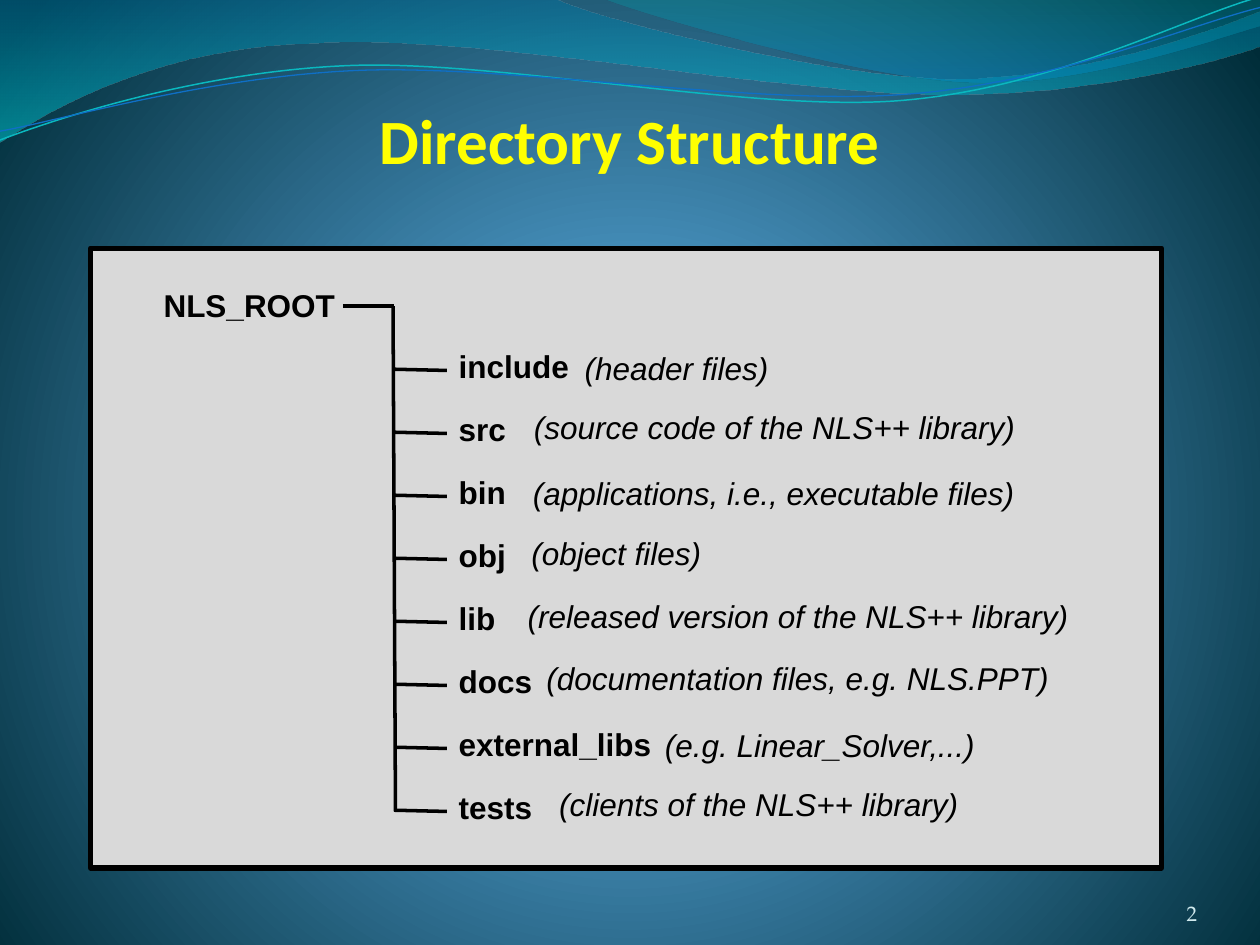
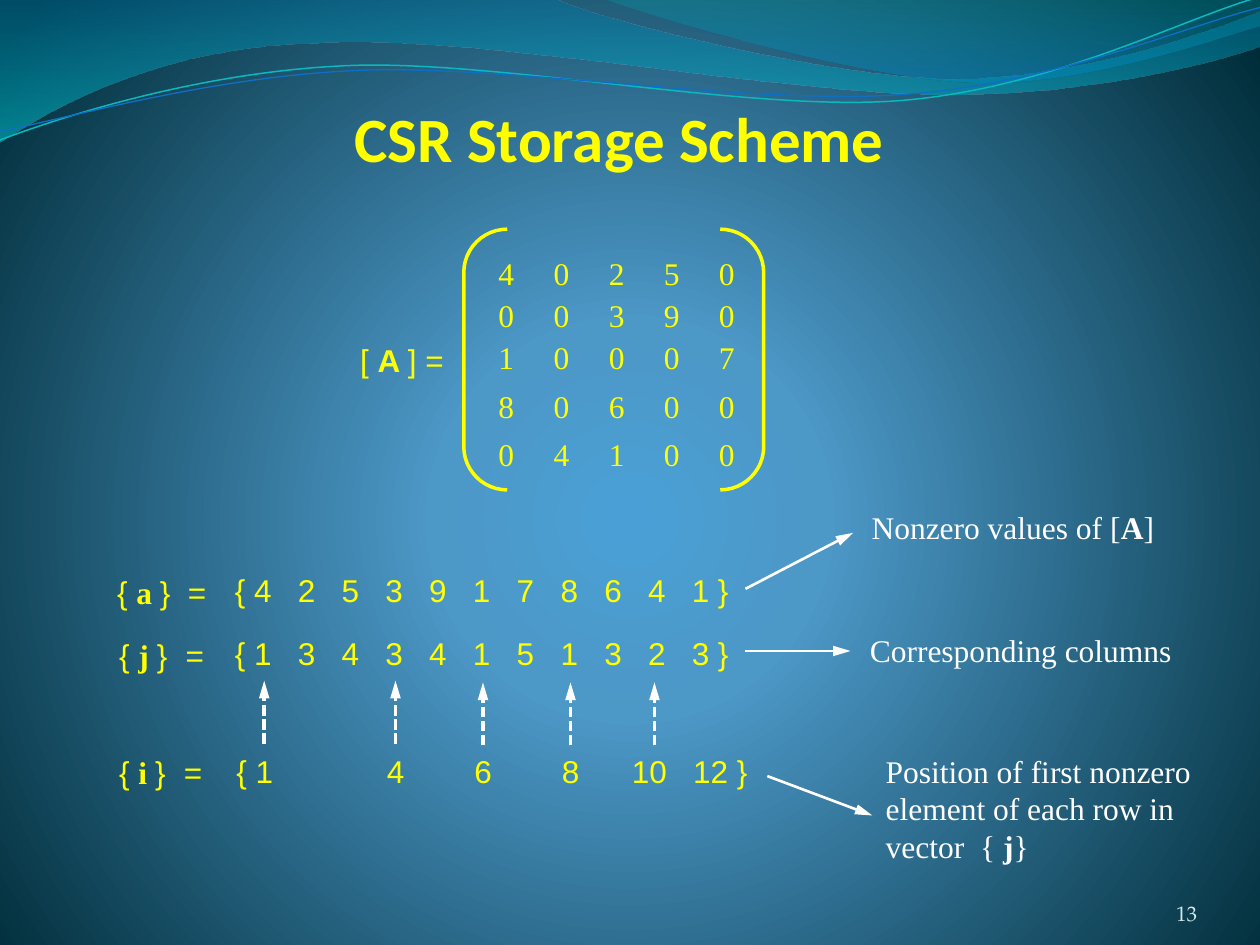
from lxml import etree
from pptx import Presentation
from pptx.dml.color import RGBColor
from pptx.enum import dml, shapes, text
from pptx.oxml.ns import qn
from pptx.util import Pt

YELLOW = RGBColor(0xFF, 0xFF, 0x00)
WHITE = RGBColor(0xFF, 0xFF, 0xFF)
BLACK = RGBColor(0x00, 0x00, 0x00)
PANEL_GREY = RGBColor(0xD9, 0xD9, 0xD9)
PAGE_TINT = RGBColor(0xD1, 0xEA, 0xEE)
CYAN = RGBColor(0x0A, 0xB8, 0xBF)
BLUE = RGBColor(0x0F, 0x6F, 0xC6)
BACKDROP = [(0, RGBColor(0x4A, 0xA0, 0xD6), 100), (25, RGBColor(0x4C, 0x98, 0xC7), 100),
            (100, RGBColor(0x00, 0x2C, 0x38), 100)]
BIG_WAVE_STOPS = [(0, RGBColor(0x00, 0x74, 0xA1), 45), (100, RGBColor(0x00, 0xC6, 0xCF), 55)]
SMALL_WAVE_STOPS = [(0, RGBColor(0x00, 0xA1, 0xA9), 30), (80, RGBColor(0x00, 0x8B, 0xBF), 45)]
SERIF, SANS = "Times New Roman", "Arial"

BIG_WAVE = [(0, 0), (317, -0.7), (343, 12, 478, 45, 546, 45), (614, 45, 690, 19, 720, 6.5),
            (720.7, 26), (708, 32, 626, 55, 537, 54), (448, 54, 275, 20, 185, 24.5),
            (93, 26, 33, 60, -0.7, 81.4)]
SMALL_WAVE = [(345, -0.7), (366, 8, 491, 45, 554, 47), (616, 50, 692, 23, 720, 15), (720, 0)]
CYAN_WAVE = [(0, 80), (34.5, 67, 114, 41, 199, 37.5), (284, 34, 427, 64, 513, 57.6),
             (600, 51, 675, 11, 718.5, -1.4)]
BLUE_WAVE = [(0, 75), (34, 69, 118, 44, 204, 40.3), (290, 36.7, 430, 60.5, 516, 54),
             (602, 48, 677, 15, 720, 4.3)]

ROOT = "NLS_ROOT"
FOLDERS = [
    ("include", 79, "(header files)", (327, 195.8, 121)),
    ("src", 43, "(source code of the NLS++ library)", (298, 229.7, 299)),
    ("bin", 43, "(applications, i.e., executable files)", (297.4, 267.1, 293)),
    ("obj", 43, "(object files)", (296.6, 301.7, 113)),
    ("lib", 37, "(released version of the NLS++ library)", (294.4, 337.7, 328)),
    ("docs", 58, "(documentation files, e.g. NLS.PPT)", (305.2, 373, 305)),
    ("external_libs", 126, "(e.g. Linear_Solver,...)", (372.9, 411.1, 195)),
    ("tests", 58, "(clients of the NLS++ library)", (312.4, 445, 245)),
]

MATRIX = [(4, 0, 2, 5, 0), (0, 0, 3, 9, 0), (1, 0, 0, 0, 7), (8, 0, 6, 0, 0), (0, 4, 1, 0, 0)]
MATRIX_TOPS = [141.6, 165.5, 189.4, 217.4, 244.8]
COLUMN_TABS = [11 + 25 * k for k in range(1, 11)]
VECTORS = [
    ("a", (59.8, 324, 67), 40.5,
     (4, 2, 5, 3, 9, 1, 7, 8, 6, 4, 1), (127.2, 323, 301), COLUMN_TABS),
    ("j", (61, 360, 64), 38,
     (1, 3, 4, 3, 4, 1, 5, 1, 3, 2, 3), (127.2, 359, 301), COLUMN_TABS),
    ("i", (61, 427, 63), 37,
     (1, 4, 6, 8, 10, 12), (128, 426, 316), [86, 136, 186, 226, 261]),
]
ROW_STARTS = [(151, 425), (226, 425), (276, 426), (326, 426), (374, 426)]
BOLD = {"bold": True}
NOTES = [
    ([[("Nonzero values of [", {}), ("A", BOLD), ("]", {})]], (491, 287, 185, 29),
     (426, 336.5, 487.5, 304.5)),
    (["Corresponding columns"], (490, 357, 190, 29), (426, 372, 486, 372)),
    (["Position of first nonzero", "element of each row in",
      [("vector\t{ ", {}), ("j", BOLD), ("}", {})]], (499, 426, 192, 73),
     (438.5, 443.5, 498.5, 466)),
]


def add_text(slide, paragraphs, box, font=SANS, size=18, color=BLACK, bold=False, italic=False,
             align=text.PP_ALIGN.LEFT, anchor=text.MSO_ANCHOR.TOP,
             insets=(7.2, 3.6, 7.2, 3.6), tabs=()):
    frame = slide.shapes.add_textbox(*map(Pt, box)).text_frame
    frame.word_wrap = True
    frame.vertical_anchor = anchor
    frame.margin_left, frame.margin_top, frame.margin_right, frame.margin_bottom = map(Pt, insets)
    if isinstance(paragraphs, str):
        paragraphs = [paragraphs]
    for index, content in enumerate(paragraphs):
        paragraph = frame.paragraphs[0] if index == 0 else frame.add_paragraph()
        paragraph.alignment = align
        if tabs:
            stops = etree.SubElement(paragraph._p.get_or_add_pPr(), qn("a:tabLst"))
            for stop in tabs:
                etree.SubElement(stops, qn("a:tab"), pos=str(Pt(stop)), algn="l")
        for words, changes in [(content, {})] if isinstance(content, str) else content:
            run = paragraph.add_run()
            run.text = words
            run.font.name = changes.get("font", font)
            run.font.size = Pt(size)
            run.font.bold = changes.get("bold", bold)
            run.font.italic = italic
            run.font.color.rgb = color


def set_gradient(fill, owner, stops, center=None):
    fill.gradient()
    gradient = owner.element.find(".//" + qn("a:gradFill"))
    for child in list(gradient):
        gradient.remove(child)
    stop_list = etree.SubElement(gradient, qn("a:gsLst"))
    for position, color, opacity in stops:
        stop = etree.SubElement(stop_list, qn("a:gs"), pos=str(position * 1000))
        shade = etree.SubElement(stop, qn("a:srgbClr"), val=str(color))
        if opacity < 100:
            etree.SubElement(shade, qn("a:alpha"), val=str(opacity * 1000))
    if center:
        circle = etree.SubElement(gradient, qn("a:path"), attrib={"path": "circle"})
        sides = {side: str(value * 1000) for side, value in zip("ltrb", center)}
        etree.SubElement(circle, qn("a:fillToRect"), attrib=sides)
    else:
        etree.SubElement(gradient, qn("a:lin"), ang="5400000", scaled="1")


def bend(wave, steps):
    segments = iter(wave.element.findall(".//" + qn("a:lnTo")))
    for step in steps[1:]:
        segment = next(segments)
        if len(step) == 6:
            segment.tag = qn("a:cubicBezTo")
            for follower in (next(segments), next(segments)):
                segment.append(follower[0])
                follower.getparent().remove(follower)


def add_wave(slide, master, steps, stops=None, color=None, width=0):
    points = [(Pt(step[n]), Pt(step[n + 1])) for step in steps for n in range(0, len(step), 2)]
    builder = slide.shapes.build_freeform(*points[0])
    builder.add_line_segments(points[1:], close=stops is not None)
    wave = builder.convert_to_shape()
    bend(wave, steps)
    wave.shadow.inherit = False
    if stops:
        set_gradient(wave.fill, wave, stops)
        wave.line.fill.background()
    else:
        wave.fill.background()
        wave.line.color.rgb = color
        wave.line.width = Pt(width)
    master.element.cSld.spTree.append(wave.element)


def add_line(slide, ends, color, width, arrow=False, dashed=False):
    line = slide.shapes.add_connector(shapes.MSO_CONNECTOR.STRAIGHT, *map(Pt, ends))
    line.line.color.rgb = color
    line.line.width = Pt(width)
    if dashed:
        line.line.dash_style = dml.MSO_LINE.SQUARE_DOT
    properties = line.element.spPr
    if arrow:
        etree.SubElement(properties.find(qn("a:ln")), qn("a:tailEnd"), type="triangle",
                         w="med", len="lg")
    etree.SubElement(properties, qn("a:effectLst"))


def add_outline(slide, kind, box, color, width, fill=None):
    outline = slide.shapes.add_shape(kind, *map(Pt, box))
    outline.shadow.inherit = False
    outline.line.color.rgb = color
    outline.line.width = Pt(width)
    if fill is None:
        outline.fill.background()
    else:
        outline.fill.solid()
        outline.fill.fore_color.rgb = fill


def start_slide(deck, title, title_box):
    slide = deck.slides.add_slide(deck.slide_layouts[6])
    add_text(slide, title, title_box, font="Calibri", size=36, color=YELLOW, bold=True,
             align=text.PP_ALIGN.CENTER, anchor=text.MSO_ANCHOR.BOTTOM, insets=(0, 0, 1.3, 0))
    return slide


def add_page_number(slide, page):
    add_text(slide, page, (624, 500, 60, 29), font="TeX Gyre Pagella", size=12,
             color=PAGE_TINT, align=text.PP_ALIGN.RIGHT, anchor=text.MSO_ANCHOR.BOTTOM,
             insets=(0, 0, 0, 0))


def style_master(master, slide):
    set_gradient(master.background.fill, master, BACKDROP, center=(10, 110, 10, 100))
    add_wave(slide, master, BIG_WAVE, stops=BIG_WAVE_STOPS)
    add_wave(slide, master, SMALL_WAVE, stops=SMALL_WAVE_STOPS)
    add_wave(slide, master, CYAN_WAVE, color=CYAN, width=0.85)
    add_wave(slide, master, BLUE_WAVE, color=BLUE, width=0.75)


def build_directory(deck):
    slide = start_slide(deck, "Directory Structure", (181, 59, 359, 42))
    style_master(deck.slide_master, slide)
    add_outline(slide, shapes.MSO_SHAPE.RECTANGLE, (51.8, 141.8, 612, 354.2), BLACK, 3,
                PANEL_GREY)
    root_y, first_y, gap = 175, 211, 36
    last_y = first_y + gap * (len(FOLDERS) - 1)
    add_line(slide, (224.6, root_y, 226, last_y + 0.7), BLACK, 2)
    add_line(slide, (196, root_y, 225.4, root_y), BLACK, 2)
    add_text(slide, ROOT, (86.4, 159.8, 114, 29), bold=True)
    for row, (folder, width, purpose, (left, top, purpose_width)) in enumerate(FOLDERS):
        y = first_y + gap * row
        add_line(slide, (225.3, y, 255.4, y + 0.7), BLACK, 2)
        add_text(slide, folder, (255, y - 16.4, width, 29), bold=True)
        add_text(slide, purpose, (left, top, purpose_width, 29), italic=True)
    add_page_number(slide, "2")


def build_storage(deck):
    slide = start_slide(deck, "CSR Storage Scheme", (114.5, 58, 480, 42))
    add_page_number(slide, "13")
    add_text(slide, [[("[ ", {}), ("A ", BOLD), ("] =", {})]], (198.7, 191.5, 64, 29),
             color=YELLOW)
    add_outline(slide, shapes.MSO_SHAPE.DOUBLE_BRACKET, (265, 131, 171.4, 149), YELLOW, 2)
    for row, top in zip(MATRIX, MATRIX_TOPS):
        add_text(slide, "\t".join(map(str, row)), (277.8, top, 153, 29), font=SERIF,
                 color=YELLOW, tabs=[31.5 * k for k in range(1, len(row))])
    for name, (left, top, width), equals_tab, values, (start, y, span), tabs in VECTORS:
        label = [("{ ", {}), (name + " ", {"font": SERIF, "bold": True}), ("}\t=", {})]
        add_text(slide, [label], (left, top, width, 29), color=YELLOW, tabs=[equals_tab])
        add_text(slide, "{ " + "\t".join(map(str, values)) + " }", (start, y, span, 29),
                 color=YELLOW, tabs=tabs)
    for x, bottom in ROW_STARTS:
        add_line(slide, (x, bottom, x, bottom - 36), WHITE, 2, arrow=True, dashed=True)
    for note, box, ends in NOTES:
        add_line(slide, ends, WHITE, 1.5, arrow=True)
        add_text(slide, note, box, font=SERIF, color=WHITE, tabs=[54] if len(note) > 1 else ())


deck = Presentation()
deck.slide_width, deck.slide_height = Pt(720), Pt(540)
build_directory(deck)
build_storage(deck)
deck.save("out.pptx")
